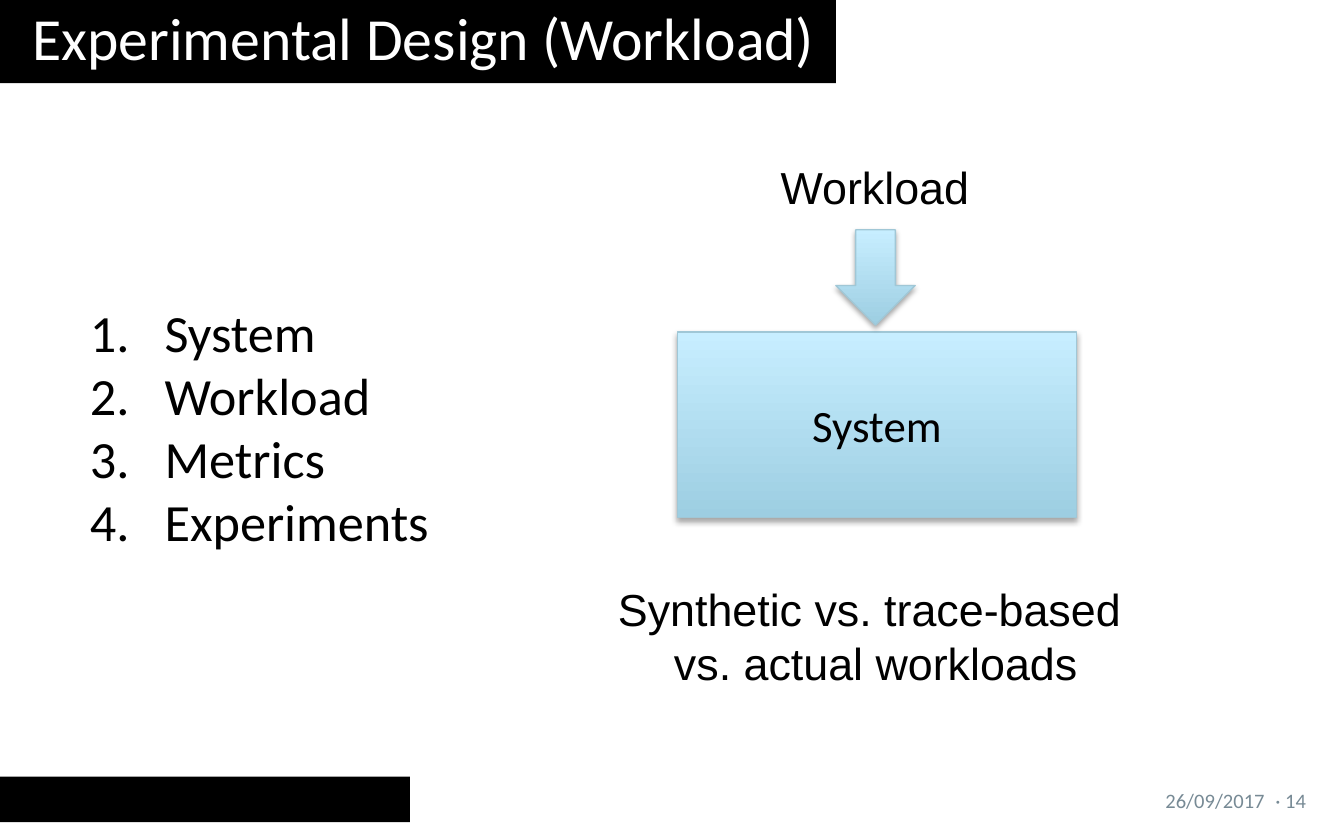
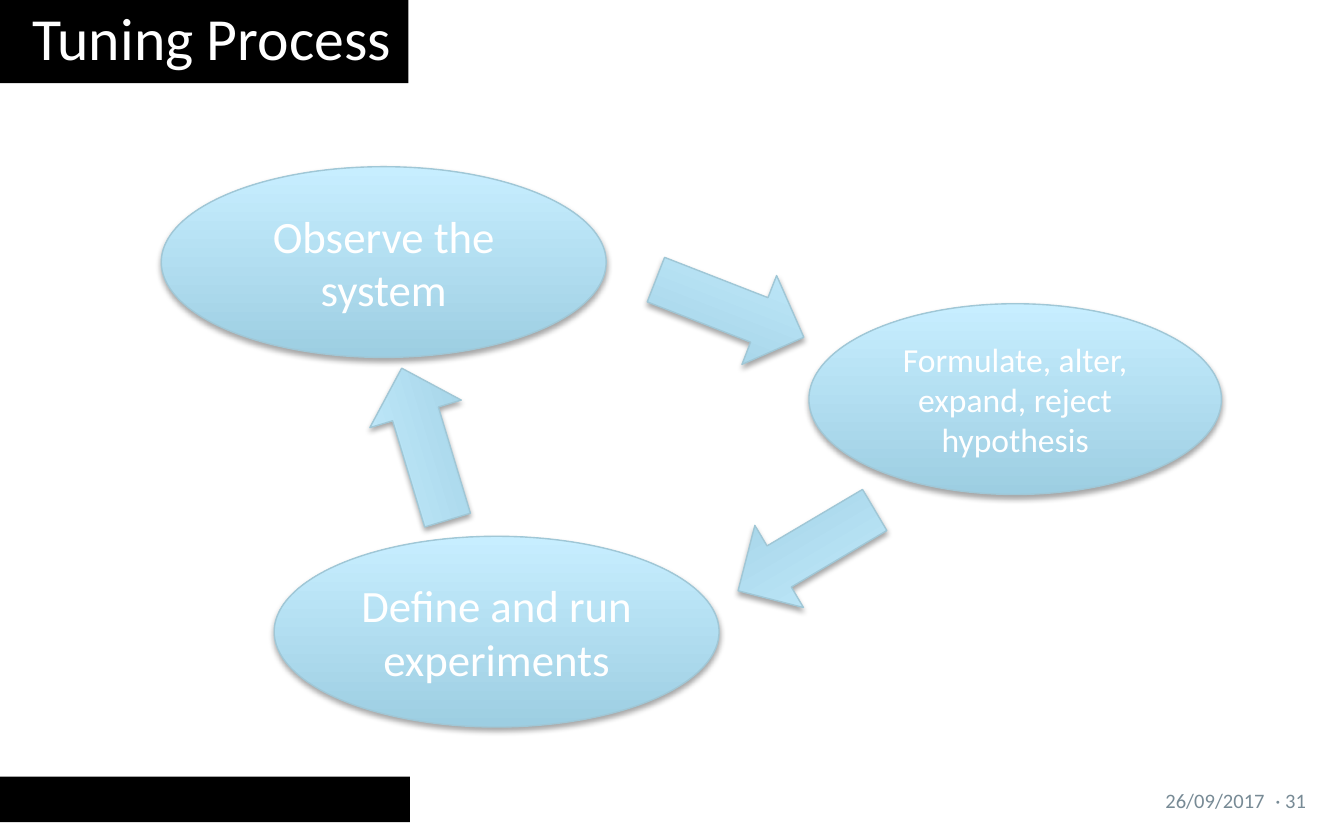
"""Build two slides on experimental design and the tuning process."""
from dataclasses import dataclass

from lxml import etree
from pptx import Presentation
from pptx.dml.color import RGBColor
from pptx.enum.shapes import MSO_SHAPE
from pptx.enum.text import MSO_ANCHOR, PP_ALIGN
from pptx.oxml.ns import qn
from pptx.util import Pt

RECT, OVAL = MSO_SHAPE.RECTANGLE, MSO_SHAPE.OVAL
DOWN, RIGHT = MSO_SHAPE.DOWN_ARROW, MSO_SHAPE.RIGHT_ARROW
MIDDLE, TOP = MSO_ANCHOR.MIDDLE, MSO_ANCHOR.TOP
TO_LEFT, CENTER, TO_RIGHT = PP_ALIGN.LEFT, PP_ALIGN.CENTER, PP_ALIGN.RIGHT


@dataclass(frozen=True)
class Theme:
    """Colours, fonts and type sizes."""
    black: str = "000000"
    white: str = "FFFFFF"
    gray: str = "778A95"
    edge: str = "A0C7D6"
    deep: str = "9DCEE2"
    pale: str = "C7EEFF"
    sans: str = "Calibri"
    plain: str = "Arial"
    title: int = 32
    list: int = 28
    body: int = 24
    small: int = 18
    foot: int = 11


T = Theme()
DATE = "26/09/2017"
DESIGN = {"title": "Experimental Design (Workload)", "width": 447.8, "page": 14}
TUNING = {"title": "Tuning Process", "width": 218.9, "page": 31}
STEPS = ["System", "Workload", "Metrics", "Experiments"]
LABELS = [
    ("Workload", (411.1, 82.1, 116.6, 36), TO_LEFT),
    ("Synthetic vs. trace-based \vvs. actual workloads", (322.6, 308.2, 293, 65.5), CENTER),
]
STAGES = [
    ("Observe the system", 86.4, 89.3, 238.3, T.body),
    ("Define and run experiments", 146.9, 287.3, 238.3, T.body),
    ("Formulate, alter, expand, reject hypothesis", 433.4, 162.7, 221, T.small),
]
STAGE_H = 102.2
ARROWS = [(348.5, 139.7, 21.3), (389.5, 269.3, 149.4), (185, 212.4, 253.2)]
ARROW_W, ARROW_H = 85, 51.1
FOOT_Y, FOOT_H = 416.8, 23.8
INDENT = 40


def rgb(code):
    """Turn a hex code into a colour."""
    return RGBColor.from_string(code)


def write(shape, lines, size, color, font=T.sans, align=TO_LEFT,
          anchor=MIDDLE, wrap=True, inset=None):
    """Fill a shape with styled paragraphs."""
    frame = shape.text_frame
    frame.text = "\n".join(lines)
    frame.word_wrap, frame.vertical_anchor = wrap, anchor
    if inset:
        (frame.margin_left, frame.margin_top,
         frame.margin_right, frame.margin_bottom) = map(Pt, inset)
    for para in frame.paragraphs:
        para.alignment = align
        para.font.size, para.font.name = Pt(size), font
        para.font.color.rgb = rgb(color)
    return frame


def box(slide, place):
    """Add an empty text box."""
    return slide.shapes.add_textbox(*map(Pt, place))


def band(slide, place):
    """Add a flat black band."""
    shape = slide.shapes.add_shape(RECT, *map(Pt, place))
    shape.shadow.inherit = False
    shape.fill.solid()
    shape.fill.fore_color.rgb = rgb(T.black)
    shape.line.fill.background()
    return shape


def glossy(slide, kind, place, turn=0):
    """Add a blue gradient shape with a soft shadow."""
    shape = slide.shapes.add_shape(kind, *map(Pt, place))
    shape.rotation = turn
    shape.fill.gradient()
    shape.fill.gradient_angle = 90
    for stop, tone in zip(shape.fill.gradient_stops, (T.deep, T.pale)):
        stop.color.rgb = rgb(tone)
    shape.line.color.rgb = rgb(T.edge)
    shape.line.width = Pt(0.75)
    shape.shadow.inherit = False
    effects = shape._element.spPr.find(qn("a:effectLst"))
    cast = etree.SubElement(effects, qn("a:outerShdw"), blurRad=str(Pt(3.1)),
                            dist=str(Pt(1.8)), dir="5400000", rotWithShape="0")
    tint = etree.SubElement(cast, qn("a:srgbClr"), val=T.black)
    etree.SubElement(tint, qn("a:alpha"), val="35000")
    return shape


def start(deck, data):
    """Add a slide with its title band and footer."""
    slide = deck.slides.add_slide(deck.slide_layouts[6])
    band(slide, (0, 416, 219.6, 24.4))
    write(band(slide, (0, 0, data["width"], 44.6)), [data["title"]], T.title,
          T.white, wrap=False, inset=(17.3, 0, 7.2, 5.8))
    for text, left, width, align in ((DATE, 509.8, 167.8, TO_RIGHT),
                                     (f"· {data['page']}", 683.3, 23.8, TO_LEFT)):
        write(box(slide, (left, FOOT_Y, width, FOOT_H)), [text], T.foot,
              T.gray, align=align, inset=(0, 0, 0, 0))
    return slide


def design(deck):
    """Draw the numbered steps and the workload diagram."""
    slide = start(deck, DESIGN)
    frame = write(box(slide, (48.2, 69.1, 630, 318.2)), STEPS, T.list,
                  T.black, inset=(0, 0, 0, 0))
    for para in frame.paragraphs:
        props = para._p.get_or_add_pPr()
        props.set("marL", str(Pt(INDENT)))
        props.set("indent", str(-Pt(INDENT)))
        mark = etree.Element(qn("a:buAutoNum"), type="arabicPeriod")
        props.find(qn("a:defRPr")).addprevious(mark)
    write(glossy(slide, RECT, (362.9, 177.8, 213.8, 99.4)), ["System"],
          T.body, T.black, align=CENTER)
    glossy(slide, DOWN, (447.8, 123.1, 42.5, 51.1))
    for text, place, align in LABELS:
        write(box(slide, place), [text], T.body, T.black, T.plain, align,
              TOP, wrap=False)


def tuning(deck):
    """Draw the cycle of stages and arrows."""
    slide = start(deck, TUNING)
    for text, left, top, width, size in STAGES:
        write(glossy(slide, OVAL, (left, top, width, STAGE_H)), [text], size,
              T.white, align=CENTER)
    for left, top, turn in ARROWS:
        glossy(slide, RIGHT, (left, top, ARROW_W, ARROW_H), turn)


def main():
    """Build and save the deck."""
    deck = Presentation()
    deck.slide_width, deck.slide_height = Pt(720), Pt(450)
    design(deck)
    tuning(deck)
    deck.save("out.pptx")


if __name__ == "__main__":
    main()
